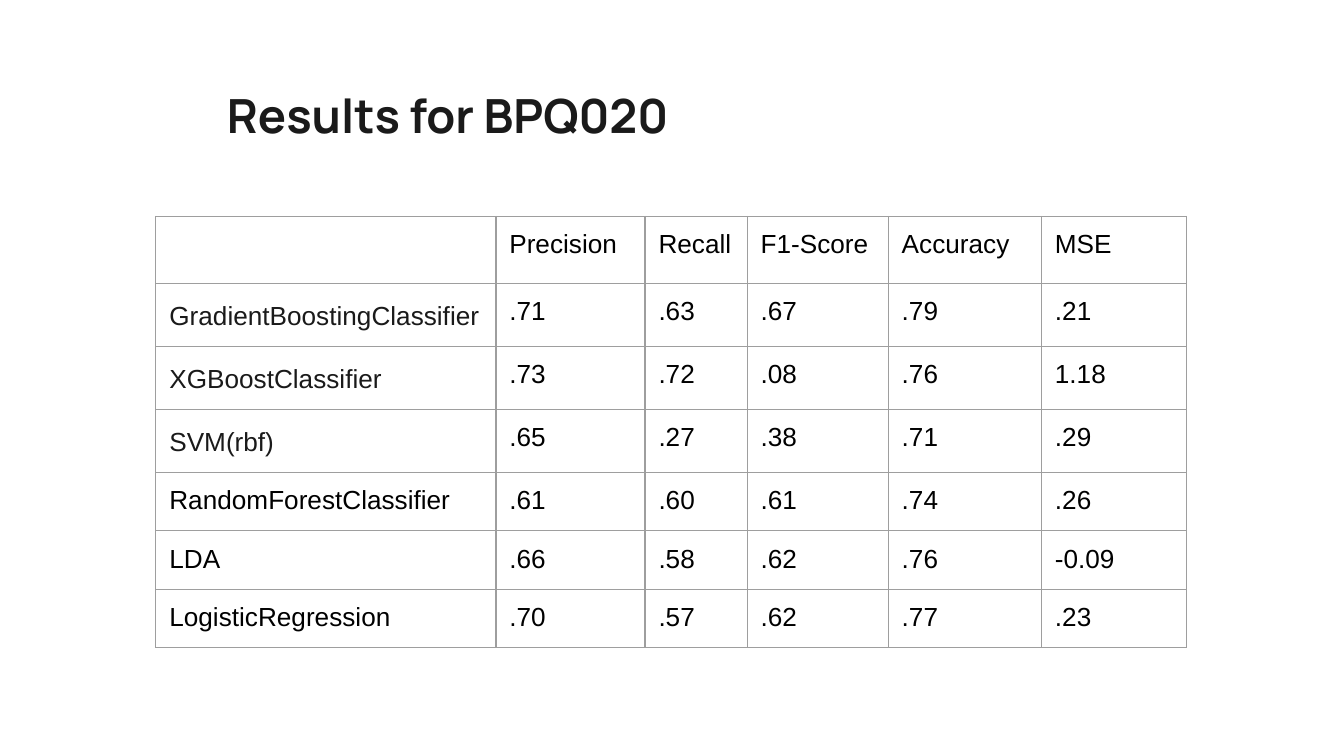
from lxml.etree import SubElement
from pptx import Presentation
from pptx.dml.color import RGBColor
from pptx.enum.text import MSO_ANCHOR
from pptx.oxml.ns import qn
from pptx.util import Inches, Pt

INK = "1A1A1A"
BLACK = "000000"
GRID = "9E9E9E"
MARGIN = Inches(0.1)

COLUMN_WIDTHS = [2.53, 1.11, 0.76, 1.05, 1.14, 1.08]
ROW_HEIGHT = 0.42
SPACED_ROWS = range(1, 4)
RESULTS = [
    ["", "Precision", "Recall", "F1-Score", "Accuracy", "MSE"],
    ["GradientBoostingClassifier", ".71", ".63", ".67", ".79", ".21"],
    ["XGBoostClassifier", ".73", ".72", ".08", ".76", "1.18"],
    ["SVM(rbf)", ".65", ".27", ".38", ".71", ".29"],
    ["RandomForestClassifier", ".61", ".60", ".61", ".74", ".26"],
    ["LDA", ".66", ".58", ".62", ".76", "-0.09"],
    ["LogisticRegression", ".70", ".57", ".62", ".77", ".23"],
]


def color(hex_string):
    return RGBColor.from_string(hex_string)


class SlideBuilder:
    """Holds the text style and the slide being filled."""

    title_font = "Manrope"
    body_font = "Arial"

    def __init__(self, slide):
        self.slide = slide

    def add_run(self, paragraph, text, font, size, ink, bold=False):
        run = paragraph.add_run()
        run.text = text
        run.font.name = font
        run.font.size = Pt(size)
        run.font.bold = bold
        run.font.color.rgb = color(ink)

    def add_title(self, text, left, top, width, height):
        box = self.slide.shapes.add_textbox(
            Inches(left), Inches(top), Inches(width), Inches(height))
        frame = box.text_frame
        frame.word_wrap = True
        frame.vertical_anchor = MSO_ANCHOR.MIDDLE
        frame.margin_left = frame.margin_right = MARGIN
        frame.margin_top = frame.margin_bottom = MARGIN
        self.add_run(frame.paragraphs[0], text, self.title_font, 25.2, INK, True)

    def add_borders(self, cell):
        properties = cell._tc.get_or_add_tcPr()
        for position, side in enumerate(("lnL", "lnR", "lnT", "lnB")):
            line = SubElement(properties, qn(f"a:{side}"), w=str(Pt(0.75)))
            fill = SubElement(line, qn("a:solidFill"))
            SubElement(fill, qn("a:srgbClr"), val=GRID)
            properties.insert(position, line)

    def add_table(self, rows, left, top, widths, row_height):
        table = self.slide.shapes.add_table(
            len(rows), len(widths), Inches(left), Inches(top),
            Inches(sum(widths)), Inches(row_height * len(rows))).table
        table.first_row = table.horz_banding = False
        for column, width in zip(table.columns, widths):
            column.width = Inches(width)
        for row_index, values in enumerate(rows):
            for column_index, value in enumerate(values):
                cell = table.cell(row_index, column_index)
                spaced = column_index == 0 and row_index in SPACED_ROWS
                self.fill_cell(cell, value, spaced)

    def fill_cell(self, cell, text, spaced):
        """Write one cell; spaced cells have looser lines and softer ink."""
        cell.fill.background()
        cell.margin_left = cell.margin_right = MARGIN
        cell.margin_top = cell.margin_bottom = MARGIN
        self.add_borders(cell)
        paragraph = cell.text_frame.paragraphs[0]
        if spaced:
            paragraph.line_spacing = 1.15
            paragraph.space_after = Pt(12)
        if text:
            self.add_run(paragraph, text, self.body_font, 14,
                         INK if spaced else BLACK)


def main():
    presentation = Presentation()
    presentation.slide_width = Inches(10)
    presentation.slide_height = Inches(10) * 9 // 16
    slide = presentation.slides.add_slide(presentation.slide_layouts[6])
    builder = SlideBuilder(slide)
    builder.add_title("Results for BPQ020", 1.59, 0.56, 8.41, 0.59)
    builder.add_table(RESULTS, 1.16, 1.61, COLUMN_WIDTHS, ROW_HEIGHT)
    presentation.save("out.pptx")


if __name__ == "__main__":
    main()
